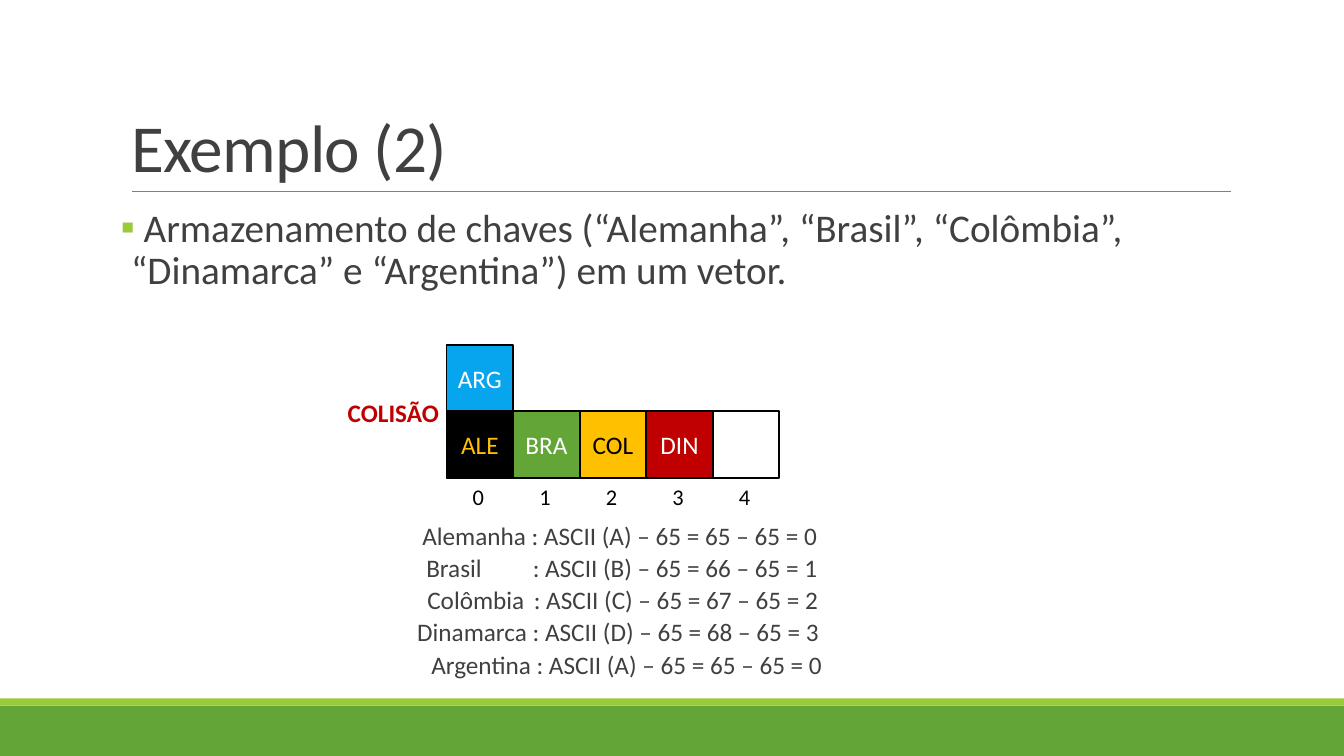
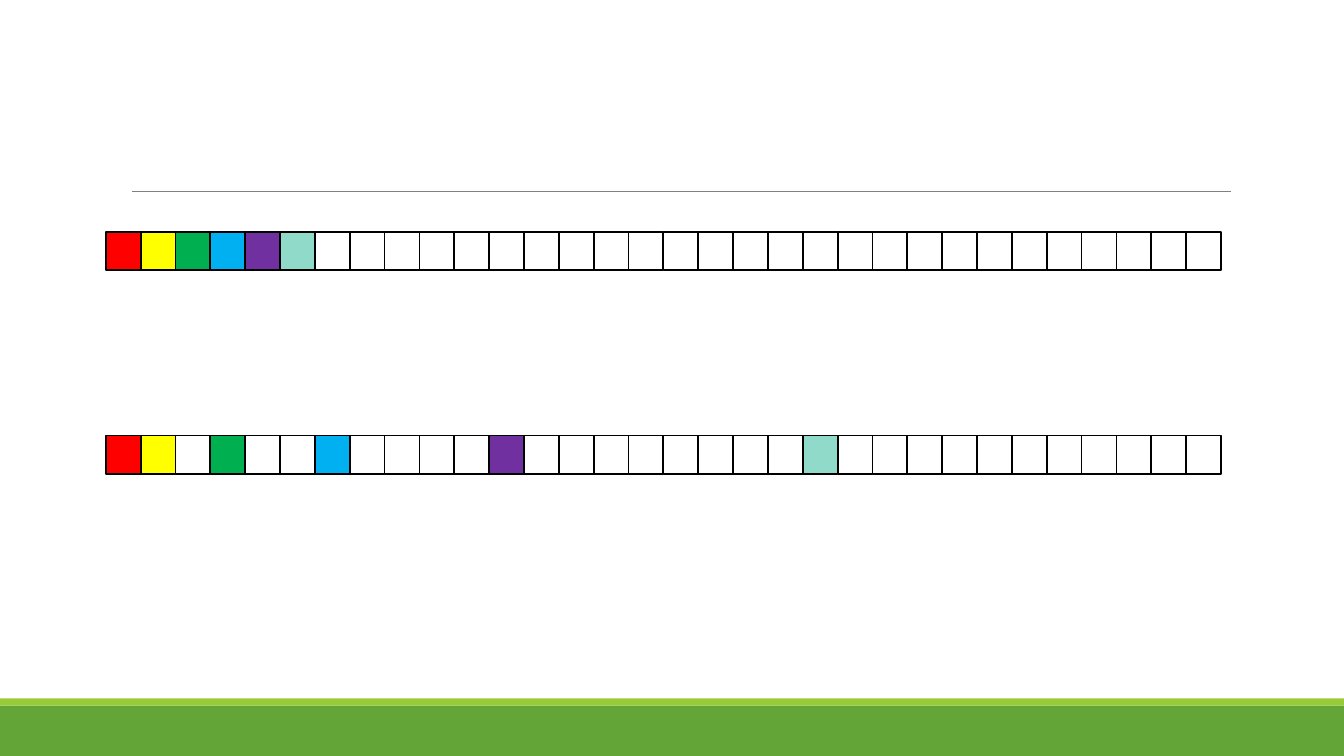
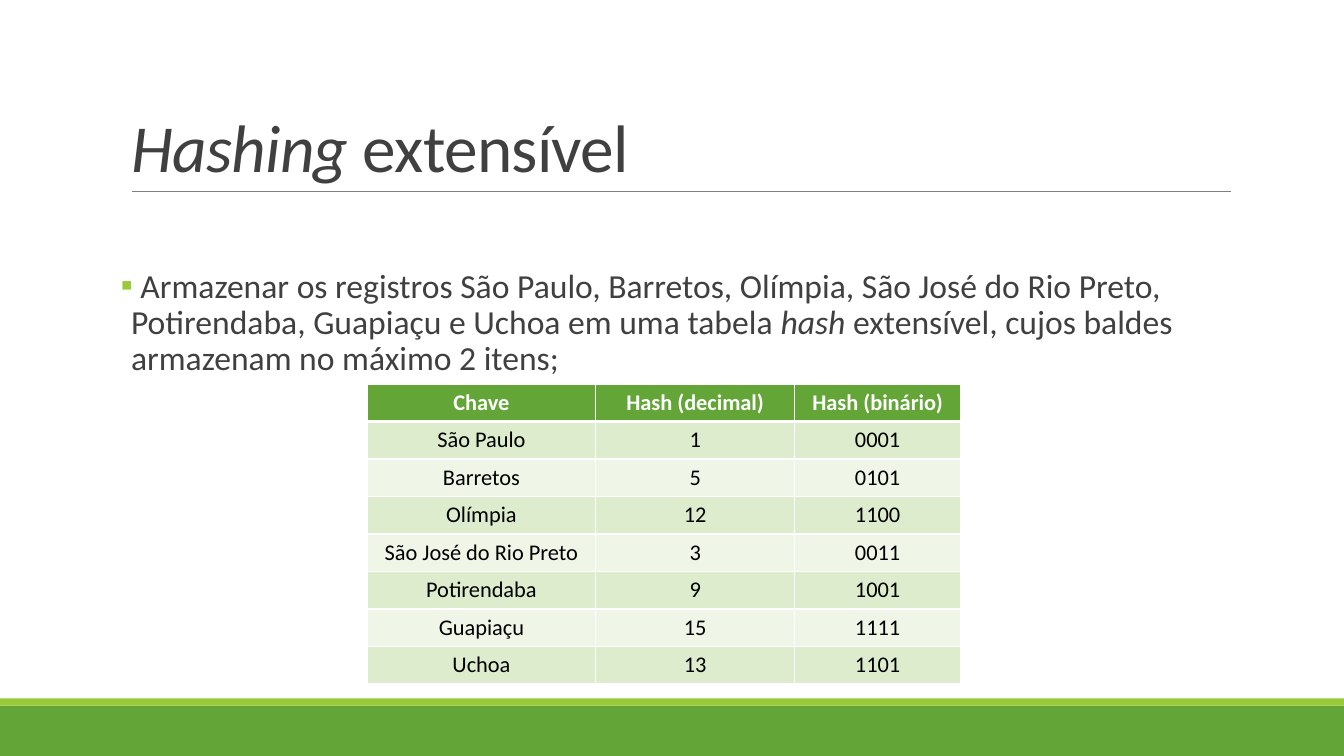
from lxml import etree
from pptx import Presentation
from pptx.dml.color import RGBColor
from pptx.enum.shapes import MSO_CONNECTOR, MSO_SHAPE
from pptx.enum.text import MSO_ANCHOR, MSO_AUTO_SIZE, PP_ALIGN
from pptx.oxml.ns import qn
from pptx.util import Inches, Pt

RECTANGLE = MSO_SHAPE.RECTANGLE
STRAIGHT = MSO_CONNECTOR.STRAIGHT
TOP, MIDDLE, BOTTOM = MSO_ANCHOR.TOP, MSO_ANCHOR.MIDDLE, MSO_ANCHOR.BOTTOM
LEFT, CENTER = PP_ALIGN.LEFT, PP_ALIGN.CENTER
NO_FIT = MSO_AUTO_SIZE.NONE

WHITE = RGBColor(0xFF, 0xFF, 0xFF)
BLACK = RGBColor(0x00, 0x00, 0x00)
INK = RGBColor(0x40, 0x40, 0x40)
GREY = RGBColor(0x80, 0x80, 0x80)
GREEN = RGBColor(0x63, 0xA5, 0x37)
LIME = RGBColor(0x99, 0xCB, 0x38)
BAND_DARK = RGBColor(0xDE, 0xEC, 0xCE)
BAND_LIGHT = RGBColor(0xEF, 0xF6, 0xE8)
GOLD = RGBColor(0xFF, 0xC0, 0x00)
CRIMSON = RGBColor(0xC0, 0x00, 0x00)
SKY = RGBColor(0x08, 0xA5, 0xEF)
RED = RGBColor(0xFF, 0x00, 0x00)
YELLOW = RGBColor(0xFF, 0xFF, 0x00)
EMERALD = RGBColor(0x00, 0xB0, 0x50)
BLUE = RGBColor(0x00, 0xB0, 0xF0)
PURPLE = RGBColor(0x70, 0x30, 0xA0)
MINT = RGBColor(0x8F, 0xDA, 0xC8)

FONT = "Calibri"
WIDTH, HEIGHT = 13.33, 7.5
MARGIN, CONTENT_WIDTH = 1.2, 11
TITLE_TOP, TITLE_HEIGHT = 0.31, 1.59
BODY_TOP, BODY_HEIGHT = 2.02, 4.4
BAND_TOP, STRIPE_TOP = 7, 6.93
RULE_LEFT, RULE_RIGHT, RULE_TOP = 1.31, 12.21, 1.9


def place(shape, left, top, width, height):
    shape.left, shape.top = Inches(left), Inches(top)
    shape.width, shape.height = Inches(width), Inches(height)


def add_span(para, text, size, color=INK, bold=False, italic=False):
    span = para.add_run()
    span.text = text
    font = span.font
    font.name, font.size, font.bold, font.italic = FONT, Pt(size), bold, italic
    font.color.rgb = color
    return span


def add_box(page, left, top, width, height, fill, line=None):
    box = page.shapes.add_shape(RECTANGLE, Inches(left), Inches(top),
                                Inches(width), Inches(height))
    box.shadow.inherit = False
    box.fill.solid()
    box.fill.fore_color.rgb = fill
    if line is None:
        box.line.fill.background()
    else:
        box.line.color.rgb = line
        box.line.width = Pt(1.25)
    return box


def add_key_box(page, left, top, side, fill, text, color):
    box = add_box(page, left, top, side, side, fill, BLACK)
    frame = box.text_frame
    frame.vertical_anchor = MIDDLE
    frame.margin_left = frame.margin_right = 0
    para = frame.paragraphs[0]
    para.alignment = CENTER
    if text:
        add_span(para, text, 18, color)


def add_label(page, text, left, top, width, height, wrap=True, **style):
    label = page.shapes.add_textbox(Inches(left), Inches(top),
                                    Inches(width), Inches(height))
    label.text_frame.word_wrap = wrap
    add_span(label.text_frame.paragraphs[0], text, **style)


def add_rule(page):
    rule = page.shapes.add_connector(STRAIGHT, Inches(RULE_LEFT), Inches(RULE_TOP),
                                     Inches(RULE_RIGHT), Inches(RULE_TOP))
    rule.line.color.rgb = GREY
    rule.line.width = Pt(0.5)
    etree.SubElement(rule.element.spPr, qn("a:effectLst"))
    return rule


def decorate_master(deck, page):
    """Draw the shared bands and rule, then move them to the slide master."""
    tree = deck.slide_master.element.cSld.spTree
    decorations = (
        add_box(page, 0, BAND_TOP, WIDTH, HEIGHT - BAND_TOP, GREEN),
        add_box(page, 0, STRIPE_TOP, WIDTH, BAND_TOP - STRIPE_TOP, LIME),
        add_rule(page),
    )
    for shape in decorations:
        tree.append(shape.element)


def set_title(page, *parts):
    """Fill the title with (text, italic) parts."""
    title = page.shapes.title
    place(title, MARGIN, TITLE_TOP, CONTENT_WIDTH, TITLE_HEIGHT)
    frame = title.text_frame
    frame.vertical_anchor = BOTTOM
    frame.auto_size = NO_FIT
    para = frame.paragraphs[0]
    para.alignment, para.line_spacing = LEFT, 0.85
    for text, italic in parts:
        span = add_span(para, text, 48, italic=italic)
        span.font._element.set("spc", "-50")


def add_bullet_mark(para):
    props = para._p.get_or_add_pPr()
    props.set("marL", str(Inches(0.1)))
    props.set("indent", str(Inches(-0.1)))
    color = etree.SubElement(props, qn("a:buClr"))
    etree.SubElement(color, qn("a:srgbClr"), val=str(LIME))
    etree.SubElement(props, qn("a:buFont"), typeface=FONT)
    etree.SubElement(props, qn("a:buChar"), char="▪")


def set_body(page, *parts, size, inset_top=0.05):
    """Fill the body with one bullet made of (text, italic) parts."""
    body = page.placeholders[1]
    place(body, MARGIN, BODY_TOP, CONTENT_WIDTH, BODY_HEIGHT)
    frame = body.text_frame
    frame.auto_size, frame.vertical_anchor = NO_FIT, TOP
    frame.margin_left = frame.margin_right = 0
    frame.margin_top, frame.margin_bottom = Inches(inset_top), Inches(0.05)
    para = frame.paragraphs[0]
    para.line_spacing = 0.9
    para.space_before, para.space_after = Pt(0), Pt(2)
    add_bullet_mark(para)
    for text, italic in parts:
        add_span(para, text, size, italic=italic)


def add_cell_borders(cell, top, bottom):
    props = cell._tc.get_or_add_tcPr()
    for tag, width in (("lnL", 1), ("lnR", 1), ("lnT", top), ("lnB", bottom)):
        line = etree.SubElement(props, qn(f"a:{tag}"), w=str(Pt(width)))
        fill = etree.SubElement(line, qn("a:solidFill"))
        etree.SubElement(fill, qn("a:srgbClr"), val=str(WHITE))


def add_table(page, rows, left, top, widths, row_height):
    frame = page.shapes.add_table(len(rows), len(widths), Inches(left), Inches(top),
                                  Inches(sum(widths)), Inches(row_height * len(rows)))
    table = frame.table
    for column, width in zip(table.columns, widths):
        column.width = Inches(width)
    for r, values in enumerate(rows):
        header = r == 0
        fill = GREEN if header else BAND_DARK if r % 2 else BAND_LIGHT
        for c, value in enumerate(values):
            cell = table.cell(r, c)
            add_cell_borders(cell, top=3 if r == 1 else 1, bottom=3 if header else 1)
            cell.fill.solid()
            cell.fill.fore_color.rgb = fill
            para = cell.text_frame.paragraphs[0]
            para.alignment = CENTER
            add_span(para, value, 16, WHITE if header else BLACK, bold=header)


def build_collision(page):
    set_title(page, ("Exemplo (2)", False))
    set_body(page, (" Armazenamento de chaves (“Alemanha”, “Brasil”, “Colômbia”, "
                    "“Dinamarca” e “Argentina”) em um vetor.", False), size=28)

    left, top, side = 4.43, 4.08, 0.66
    slots = [("", WHITE, BLACK), ("ALE", BLACK, GOLD), ("BRA", GREEN, WHITE),
             ("COL", GOLD, BLACK), ("DIN", CRIMSON, WHITE)]
    slots = slots[1:] + slots[:1]
    for index, (key, fill, color) in enumerate(slots):
        slot_left = left + index * side
        add_key_box(page, slot_left, top, side, fill, key, color)
        add_label(page, str(index), slot_left + 0.16, top + side, 0.32, 0.37,
                  wrap=False, size=16, color=BLACK)
    add_key_box(page, left, top - side, side, SKY, "ARG", WHITE)
    add_label(page, "COLISÃO", 3.35, 3.89, 1.11, 0.4, wrap=False,
              size=18, color=CRIMSON, bold=True)

    sums = [
        (4.09, "Alemanha : ASCII (A) – 65 = 65 – 65 = 0"),
        (4.13, "Brasil\t : ASCII (B) – 65 = 66 – 65 = 1"),
        (4.14, "Colômbia\t : ASCII (C) – 65 = 67 – 65 = 2"),
        (4.04, "Dinamarca : ASCII (D) – 65 = 68 – 65 = 3"),
        (4.18, "Argentina : ASCII (A) – 65 = 65 – 65 = 0"),
    ]
    for index, (sum_left, text) in enumerate(sums):
        add_label(page, text, sum_left, 5.11 + 0.32 * index, 4.26, 0.4, size=18)


def build_spread(page):
    """Show the same keys packed together and spread over the array."""
    count, left, right, height = 32, 1.05, 12.11, 0.38
    step = (right - left) / count
    colors = (RED, YELLOW, EMERALD, BLUE, PURPLE, MINT)
    for top, positions in ((2.3, range(6)), (4.32, (0, 1, 3, 6, 11, 20))):
        fills = dict(zip(positions, colors))
        for index in range(count):
            add_box(page, left + index * step, top, step, height,
                    fills.get(index, WHITE), BLACK)


def build_extendible(page):
    set_title(page, ("Hashing ", True), ("extensível", False))
    set_body(page,
             (" Armazenar os registros São Paulo, Barretos, Olímpia, São José do "
              "Rio Preto, Potirendaba, Guapiaçu e Uchoa em uma tabela ", False),
             ("hash ", True),
             ("extensível, cujos baldes armazenam no máximo 2 itens;", False),
             size=24, inset_top=0.65)
    hashes = [("São Paulo", 1), ("Barretos", 5), ("Olímpia", 12),
              ("São José do Rio Preto", 3), ("Potirendaba", 9),
              ("Guapiaçu", 15), ("Uchoa", 13)]
    rows = [("Chave", "Hash (decimal)", "Hash (binário)")]
    rows += [(key, str(value), f"{value:04b}") for key, value in hashes]
    add_table(page, rows, 3.64, 3.81, (2.27, 1.97, 1.65), 0.37)


def main():
    deck = Presentation()
    deck.slide_width, deck.slide_height = Inches(WIDTH), Inches(HEIGHT)
    content, blank = deck.slide_layouts[1], deck.slide_layouts[6]
    pages = [deck.slides.add_slide(layout) for layout in (content, blank, content)]
    decorate_master(deck, pages[0])
    for build, page in zip((build_collision, build_spread, build_extendible), pages):
        build(page)
    deck.save("out.pptx")


if __name__ == "__main__":
    main()
